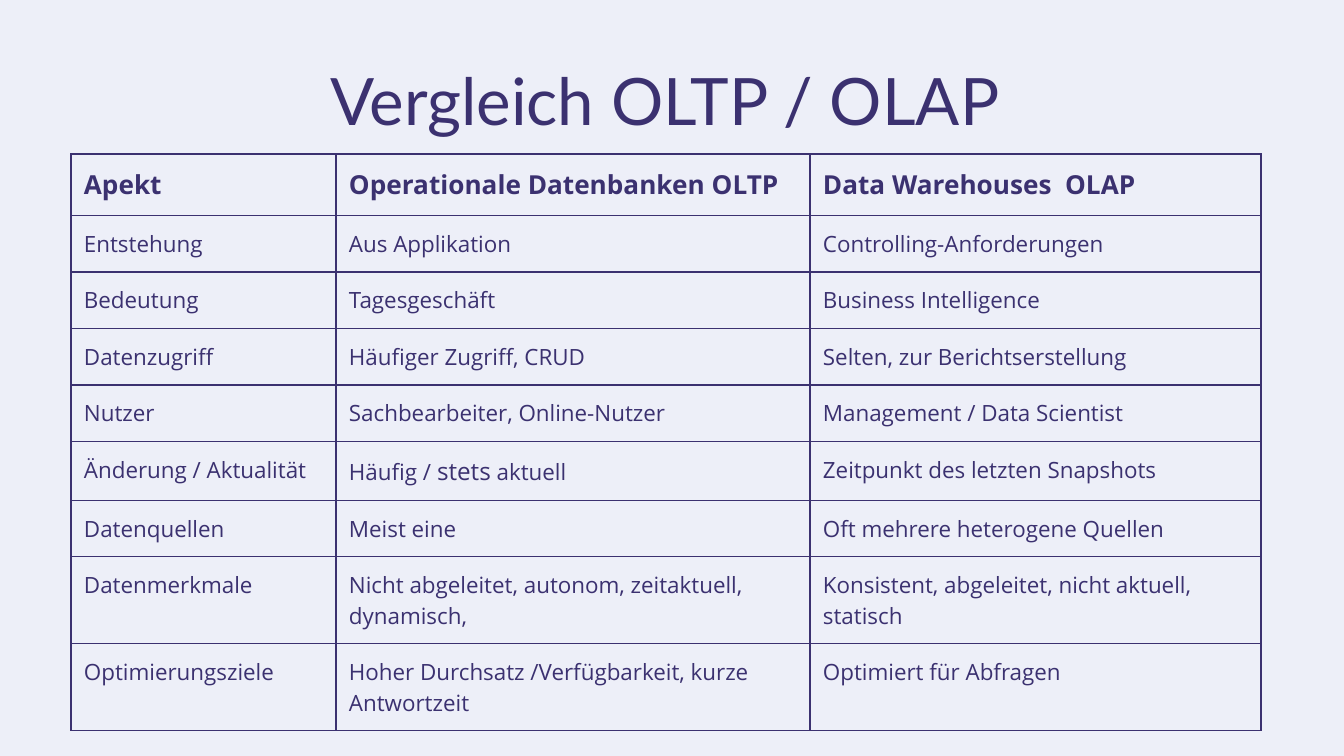
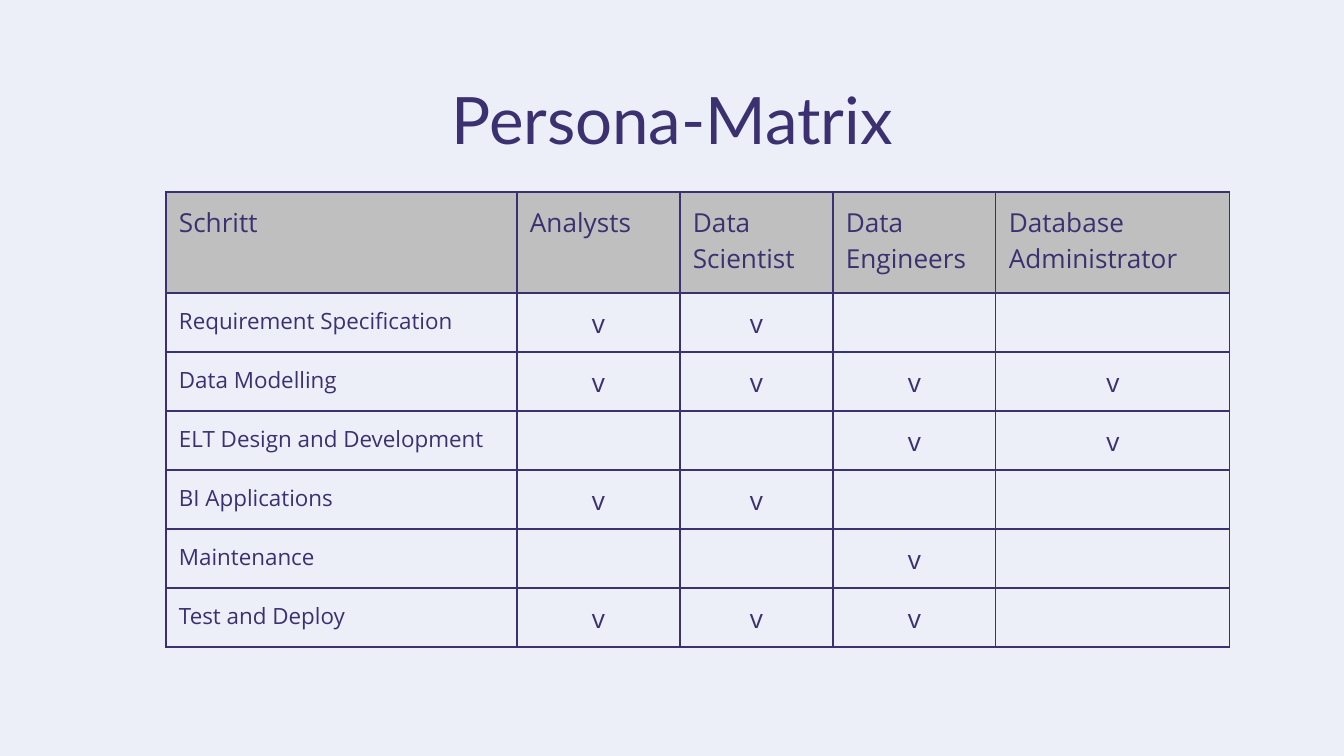
"""Build two slides on data warehousing: a comparison table and a persona matrix."""
from lxml import etree
from pptx import Presentation
from pptx import util as u
from pptx.dml.color import RGBColor
from pptx.enum import text
from pptx.oxml import ns

PX = 914400 / 134.4
COLORS = {"background": "EDEFF8", "ink": "3B3170", "header": "BFBFBF"}
TITLE_FONT, BODY_FONT = "Lato", "Open Sans"
INSET = 13
HEADER_SIZE, BODY_SIZE = 14, 12
MARK = "v"

COMPARISON = [
    ["Apekt", "Operationale Datenbanken OLTP", "Data Warehouses  OLAP"],
    ["Entstehung", "Aus Applikation", "Controlling-Anforderungen"],
    ["Bedeutung", "Tagesgeschäft", "Business Intelligence"],
    ["Datenzugriff", "Häufiger Zugriff, CRUD", "Selten, zur Berichtserstellung"],
    ["Nutzer", "Sachbearbeiter, Online-Nutzer", "Management / Data Scientist"],
    ["Änderung / Aktualität", [("Häufig / ", 12), ("stets", 13), (" aktuell", 12)],
     "Zeitpunkt des letzten Snapshots"],
    ["Datenquellen", "Meist eine", "Oft mehrere heterogene Quellen"],
    ["Datenmerkmale", "Nicht abgeleitet, autonom, zeitaktuell, dynamisch,",
     "Konsistent, abgeleitet, nicht aktuell, statisch"],
    ["Optimierungsziele", "Hoher Durchsatz /Verfügbarkeit, kurze Antwortzeit",
     "Optimiert für Abfragen"],
]
PERSONAS = ["Analysts", "Data\nScientist", "Data\nEngineers", "Database\nAdministrator"]
STEPS = {
    "Requirement Specification": (1, 1, 0, 0),
    "Data Modelling": (1, 1, 1, 1),
    "ELT Design and Development": (0, 0, 1, 1),
    "BI Applications": (1, 1, 0, 0),
    "Maintenance": (0, 0, 1, 0),
    "Test and Deploy": (1, 1, 1, 0),
}


def px(length):
    """Turn a length in px into EMU."""
    return u.Emu(round(length * PX))


def color(name):
    """Look up a named colour."""
    return RGBColor.from_string(COLORS[name])


def set_insets(frame):
    """Give a text box or a cell equal margins on all sides."""
    frame.margin_left = frame.margin_right = px(INSET)
    frame.margin_top = frame.margin_bottom = px(INSET)


def add_run(paragraph, words, size, font, bold=False):
    """Add one formatted run."""
    run = paragraph.add_run()
    run.text = words
    run.font.size = u.Pt(size)
    run.font.name = font
    run.font.bold = bold
    run.font.color.rgb = color("ink")


def add_title(slide, box, words):
    """Add the centred slide title in the given box."""
    shape = slide.shapes.add_textbox(*map(px, box))
    frame = shape.text_frame
    frame.word_wrap = True
    frame.vertical_anchor = text.MSO_ANCHOR.TOP
    set_insets(frame)
    paragraph = frame.paragraphs[0]
    paragraph.alignment = text.PP_ALIGN.CENTER
    add_run(paragraph, words, 35, TITLE_FONT)


def outline_cell(cell):
    """Draw the four borders of a cell."""
    properties = cell._tc.get_or_add_tcPr()
    for side in ("lnL", "lnR", "lnT", "lnB"):
        line = etree.SubElement(properties, ns.qn(f"a:{side}"), w=str(u.Pt(0.75)))
        fill = etree.SubElement(line, ns.qn("a:solidFill"))
        etree.SubElement(fill, ns.qn("a:srgbClr"), val=COLORS["ink"])


def fill_cell(cell, content, size, bold, background):
    """Write a cell's paragraphs and set its borders and fill."""
    set_insets(cell)
    outline_cell(cell)
    if background:
        cell.fill.solid()
        cell.fill.fore_color.rgb = color(background)
    else:
        cell.fill.background()
    frame = cell.text_frame
    if not content:
        etree.SubElement(frame.paragraphs[0]._p, ns.qn("a:endParaRPr"), sz=str(size * 100))
        return
    lines = content.split("\n") if isinstance(content, str) else [content]
    for index, line in enumerate(lines):
        paragraph = frame.add_paragraph() if index else frame.paragraphs[0]
        if line == MARK:
            paragraph.alignment = text.PP_ALIGN.CENTER
        for words, run_size in [(line, size)] if isinstance(line, str) else line:
            add_run(paragraph, words, run_size, BODY_FONT, bold)


def add_grid(slide, origin, widths, heights, rows, bold_header=False, fills=(None, None),
             mark_size=BODY_SIZE):
    """Add a bordered table with a header row at the given origin."""
    box = (*origin, sum(widths), sum(heights))
    table = slide.shapes.add_table(len(rows), len(widths), *map(px, box)).table
    table.first_row = table.horz_banding = False
    for column, width in zip(table.columns, widths):
        column.width = px(width)
    for row_index, (row, height, contents) in enumerate(zip(table.rows, heights, rows)):
        row.height = px(height)
        header = row_index == 0
        for cell, content in zip(row.cells, contents):
            size = HEADER_SIZE if header else mark_size if content in (MARK, "") else BODY_SIZE
            fill_cell(cell, content, size, bold_header and header, fills[0 if header else 1])


def add_slide(presentation):
    """Add a blank slide with the shared background."""
    slide = presentation.slides.add_slide(presentation.slide_layouts[6])
    slide.background.fill.solid()
    slide.background.fill.fore_color.rgb = color("background")
    return slide


def add_comparison_slide(presentation):
    """Compare operational databases with data warehouses."""
    slide = add_slide(presentation)
    add_grid(slide, (71, 154), (265, 474, 451), [56] * len(COMPARISON), COMPARISON,
             bold_header=True)
    add_title(slide, (280, 47, 770, 106), "Vergleich OLTP / OLAP")


def add_persona_slide(presentation):
    """Show which persona takes part in which step."""
    slide = add_slide(presentation)
    add_title(slide, (106, 66, 1133, 85), "Persona-Matrix")
    rows = [["Schritt", *PERSONAS]]
    rows += [[step, *(MARK if part else "" for part in parts)] for step, parts in STEPS.items()]
    add_grid(slide, (166, 192), (351, 163, 153, 163, 234), [101] + [59] * len(STEPS), rows,
             fills=("header", "background"), mark_size=HEADER_SIZE)


def main():
    """Build and save the presentation."""
    presentation = Presentation()
    presentation.slide_width, presentation.slide_height = px(1344), px(756)
    add_comparison_slide(presentation)
    add_persona_slide(presentation)
    presentation.save("out.pptx")


if __name__ == "__main__":
    main()
